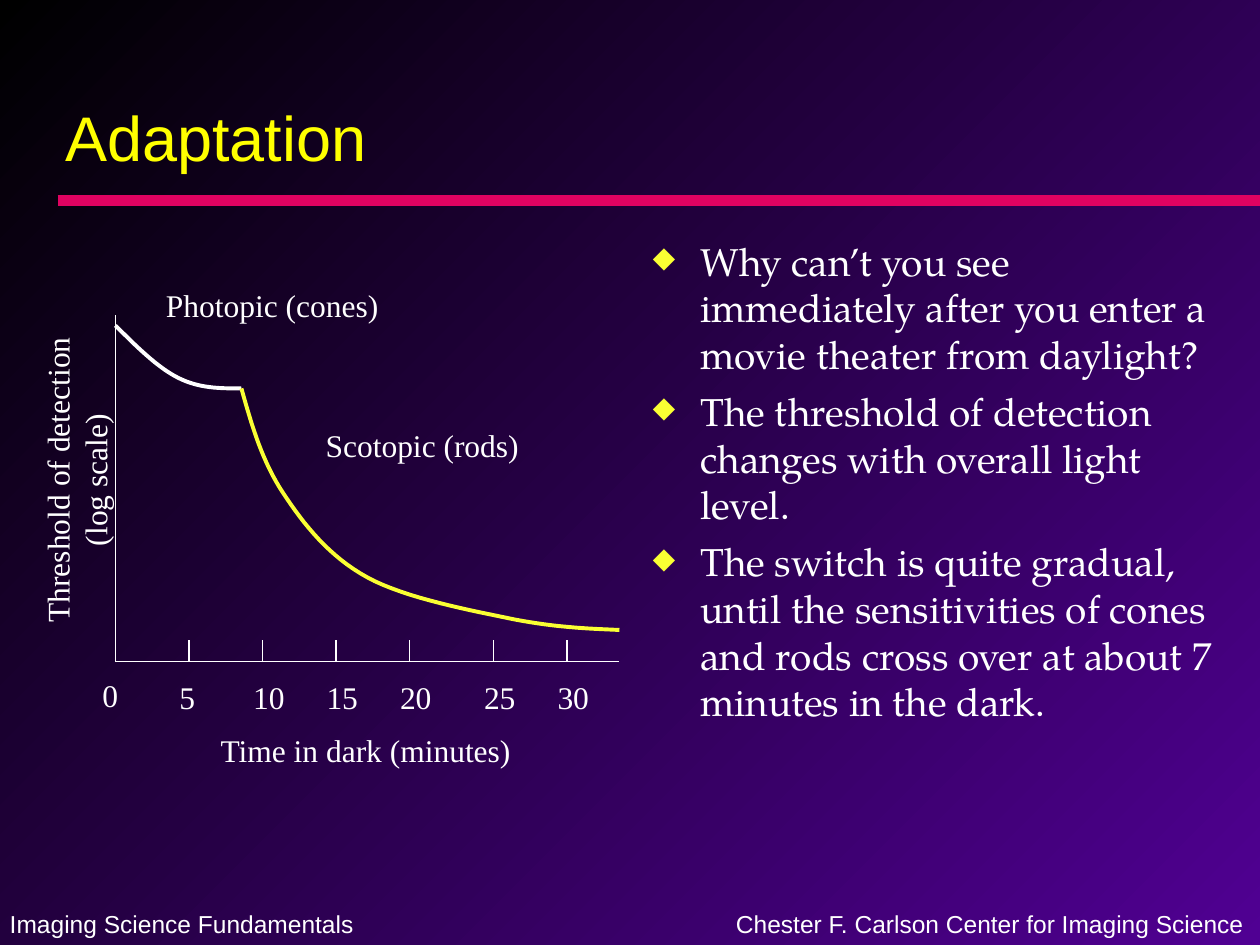
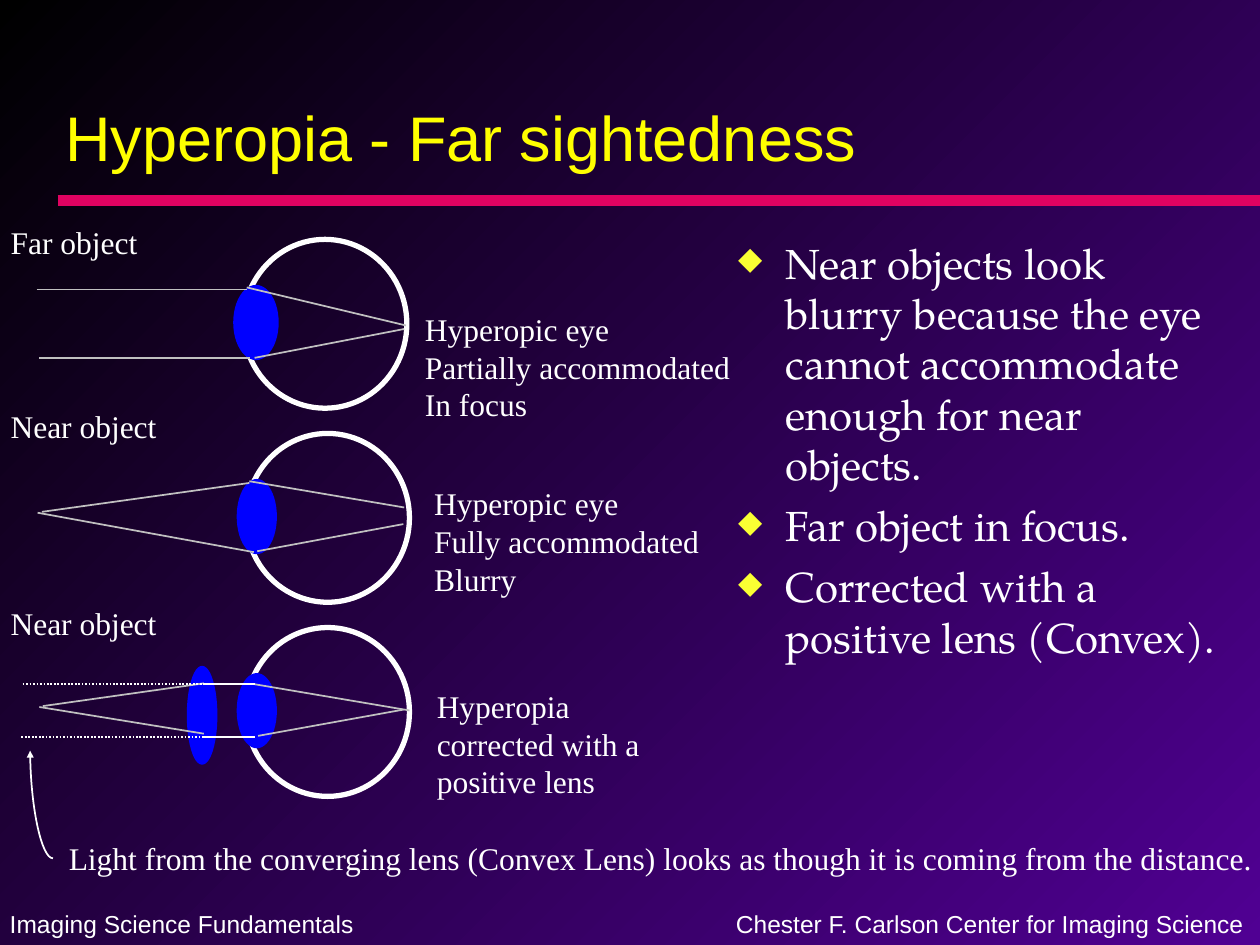
from lxml import etree
from pptx import Presentation
from pptx.dml.color import RGBColor
from pptx.enum.dml import MSO_LINE
from pptx.enum.shapes import MSO_CONNECTOR, MSO_SHAPE
from pptx.enum.text import MSO_ANCHOR, MSO_AUTO_SIZE, PP_ALIGN
from pptx.oxml.ns import qn
from pptx.util import Pt

LEFT, CENTER = PP_ALIGN.LEFT, PP_ALIGN.CENTER
STRAIGHT, CURVE = MSO_CONNECTOR.STRAIGHT, MSO_CONNECTOR.CURVE
OVAL, DOTS = MSO_SHAPE.OVAL, MSO_LINE.ROUND_DOT
MIDDLE, FIXED, GROW = MSO_ANCHOR.MIDDLE, MSO_AUTO_SIZE.NONE, MSO_AUTO_SIZE.SHAPE_TO_FIT_TEXT
SANS, SERIF, BOOK = "Arial", "Times New Roman", "TeX Gyre Pagella"
HEX = {"black": "000000", "purple": "500093", "pink": "E00261", "title": "FFFF00",
       "yellow": "FAFF33", "white": "FFFFFF", "silver": "C0C0C0", "blue": "0000FF"}
RGB = {name: RGBColor.from_string(code) for name, code in HEX.items()}
SLACK = 1  # spare room on each side of a one-line label


def add_text(slide, x, y, w, h, lines, size=18, face=SERIF, align=LEFT, wrap=False, bullet=False):
    slack = 0 if wrap else SLACK
    box = slide.shapes.add_textbox(Pt(x - slack), Pt(y), Pt(w + 2 * slack), Pt(h))
    frame = box.text_frame
    frame.word_wrap = wrap
    frame.auto_size = FIXED if bullet else GROW
    for i, line in enumerate(lines):
        para = frame.paragraphs[0] if i == 0 else frame.add_paragraph()
        para.alignment = align
        if bullet:
            para.space_before = Pt(6 if i else 0)
            props = para._p.get_or_add_pPr()
            props.set("marL", str(Pt(27)))
            props.set("indent", str(-Pt(27)))
            tint = etree.SubElement(props, qn("a:buClr"))
            etree.SubElement(tint, qn("a:srgbClr"), val=HEX["yellow"])
            etree.SubElement(props, qn("a:buSzPct"), val="75000")
            etree.SubElement(props, qn("a:buChar"), char="◆")
        run = para.add_run()
        run.text = line
        run.font.size, run.font.name = Pt(size), face
        run.font.color.rgb = RGB["white"]
    return box


def add_line(slide, x1, y1, x2, y2, color="white", width=1, kind=STRAIGHT):
    line = slide.shapes.add_connector(kind, Pt(x1), Pt(y1), Pt(x2), Pt(y2))
    line.line.color.rgb = RGB[color]
    line.line.width = Pt(width)
    etree.SubElement(line._element.spPr, qn("a:effectLst"))
    return line


deck = Presentation()
deck.slide_width, deck.slide_height = Pt(720), Pt(540)

# Shared background
back = deck.slide_master.background.fill
back.gradient()
back.gradient_angle = 315
for stop, name in zip(back.gradient_stops, ("black", "purple")):
    stop.color.rgb = RGB[name]

# Title, band, footers and bullets of each slide
pages = [
    ("Adaptation", 366, 337, 22.2, [
        "Why can’t you see immediately after you enter a movie theater from daylight?",
        "The threshold of detection changes with overall light level.",
        "The switch is quite gradual, until the sensitivities of cones and rods "
        "cross over at about 7 minutes in the dark."]),
    ("Hyperopia - Far sightedness", 414.75, 287.25, 24, [
        "Near objects look blurry because the eye cannot accommodate enough for near objects.",
        "Far object in focus.",
        "Corrected with a positive lens (Convex)."]),
]
for head, x, w, size, points in pages:
    slide = deck.slides.add_slide(deck.slide_layouts[5])
    title = slide.shapes.title
    title.left, title.top, title.width, title.height = Pt(30), Pt(48), Pt(636), Pt(60)
    frame = title.text_frame
    frame.auto_size, frame.vertical_anchor = FIXED, MIDDLE
    para = frame.paragraphs[0]
    para.alignment = LEFT
    run = para.add_run()
    run.text = head
    run.font.size, run.font.name = Pt(36), SANS
    run.font.color.rgb = RGB["title"]
    add_line(slide, 33, 114.5, 720, 114.5, "pink", 6)
    add_text(slide, -0.5, 516, 211, 24.5, ["Imaging Science Fundamentals"], 14, SANS)
    add_text(slide, 414.5, 516, 306, 24.5,
             ["Chester F. Carlson Center for Imaging Science"], 14, SANS)
    add_text(slide, x, 132, w, 324, points, size, BOOK, wrap=True, bullet=True)

adapt, hyper = deck.slides

# Axes and ticks of the adaptation graph
add_line(adapt, 66, 180, 66, 378)
add_line(adapt, 66, 378, 354, 378)
add_text(adapt, 52.5, 382.5, 23, 29, ["0"])
for i, x in enumerate((108, 150, 192, 234, 282, 324), 1):
    add_line(adapt, x, 366, x, 378)
    add_text(adapt, x - 11.5, 384, 23 if i == 1 else 32.5, 29, [str(5 * i)])

# Threshold curves, as chains of cubic Bezier spans
curves = [
    ("white", [(138, 222), (126, 222), (114, 222), (102, 216),
               (90, 210), (78, 198), (66, 186)]),
    ("yellow", [(138, 222), (144, 243.5), (150, 264), (162, 282),
                (173.5, 299.5), (188, 318), (210, 330),
                (232, 342), (270, 349), (294, 354),
                (317.5, 358.5), (335.5, 359.25), (354, 360)]),
]
STEPS = 16
for color, knots in curves:
    trace = []
    for k in range(0, len(knots) - 1, 3):
        for s in range(1, STEPS + 1):
            t = s / STEPS
            mix = ((1 - t) ** 3, 3 * t * (1 - t) ** 2, 3 * t * t * (1 - t), t ** 3)
            trace.append([Pt(sum(m * p[axis] for m, p in zip(mix, knots[k:k + 4])))
                          for axis in (0, 1)])
    pen = adapt.shapes.build_freeform(Pt(knots[0][0]), Pt(knots[0][1]))
    pen.add_line_segments(trace, close=False)
    curve = pen.convert_to_shape()
    curve.shadow.inherit = False
    curve.fill.background()
    curve.line.color.rgb = RGB[color]
    curve.line.width = Pt(2.25)

# Graph labels
add_text(adapt, 88.75, 160, 136, 29, ["Photopic (cones)"])
add_text(adapt, 180, 240, 125, 29, ["Scotopic (rods)"])
add_text(adapt, 120, 414, 181, 29, ["Time in dark (minutes)"])
side = add_text(adapt, -45.5, 249, 178, 50.5, ["Threshold of detection", "(log scale)"], align=CENTER)
side.rotation = 270

# Eyes with their lenses, then the corrective lens
ovals = []
for i, (x, lens, wide) in enumerate([(139, 133.25, 26), (140.5, 135.25, 23), (140.5, 135.25, 23)]):
    y = 136.8 + 110.9 * i
    ovals += [(x, y, 93.5, 96.5, None, "white", 3), (lens, y + 26, wide, 43, "blue", None, 0)]
ovals.append((107.25, 381, 16.5, 55.5, "blue", "blue", 1))
for x, y, w, h, fill, edge, width in ovals:
    oval = hyper.shapes.add_shape(OVAL, Pt(x), Pt(y), Pt(w), Pt(h))
    oval.shadow.inherit = False
    if fill:
        oval.fill.solid()
        oval.fill.fore_color.rgb = RGB[fill]
    else:
        oval.fill.background()
    if edge:
        oval.line.color.rgb = RGB[edge]
        oval.line.width = Pt(width)
    else:
        oval.line.fill.background()

# Light rays, eye by eye
rays = [
    (21, 165.5, 141, 165.5), (141, 164.25, 232, 186), (145.5, 204.5, 231, 188), (22.5, 204.5, 143, 204.5),
    (24, 292.5, 142.5, 276), (142.5, 275, 231, 290), (147, 315, 230.5, 299.5), (21.5, 293, 145, 315.5),
    (145.5, 391, 234, 406), (147.5, 420.5, 230.5, 405.5), (24.5, 403.5, 116.5, 390.5), (22.5, 404, 116.5, 419.25),
]
for ray in rays:
    add_line(hyper, *ray, "silver")
for y, start in ((391, 13), (421, 12.25)):
    add_line(hyper, 116.5, y, 146, y)
    add_line(hyper, start, y, 116.5, y).line.dash_style = DOTS

# Labels beside the eyes
notes = [
    (0, 124, 87, 29, ["Far object"]),
    (0, 229, 98, 29, ["Near object"]),
    (0, 341.5, 98, 29, ["Near object"]),
    (236.75, 173.5, 189, 72, ["Hyperopic eye", "Partially accommodated", "In focus"]),
    (242, 273, 166, 72, ["Hyperopic eye", "Fully accommodated", "Blurry"]),
    (33.25, 476, 691, 29, ["Light from the converging lens (Convex Lens) looks as though "
                           "it is coming from the distance."]),
]
for note in notes:
    add_text(hyper, *note)
add_text(hyper, 242.5, 389, 159, 72, ["Hyperopia corrected with a positive lens"], wrap=True)

# Curved arrow from the caption to the dotted rays
arrow = add_line(hyper, 30.25, 490.5, 17.25, 429, kind=CURVE)
arrow._element.spPr.find(qn("a:prstGeom")).set("prst", "curvedConnector2")
etree.SubElement(arrow.line._get_or_add_ln(), qn("a:tailEnd"), type="triangle", w="sm", len="sm")

deck.save("out.pptx")
